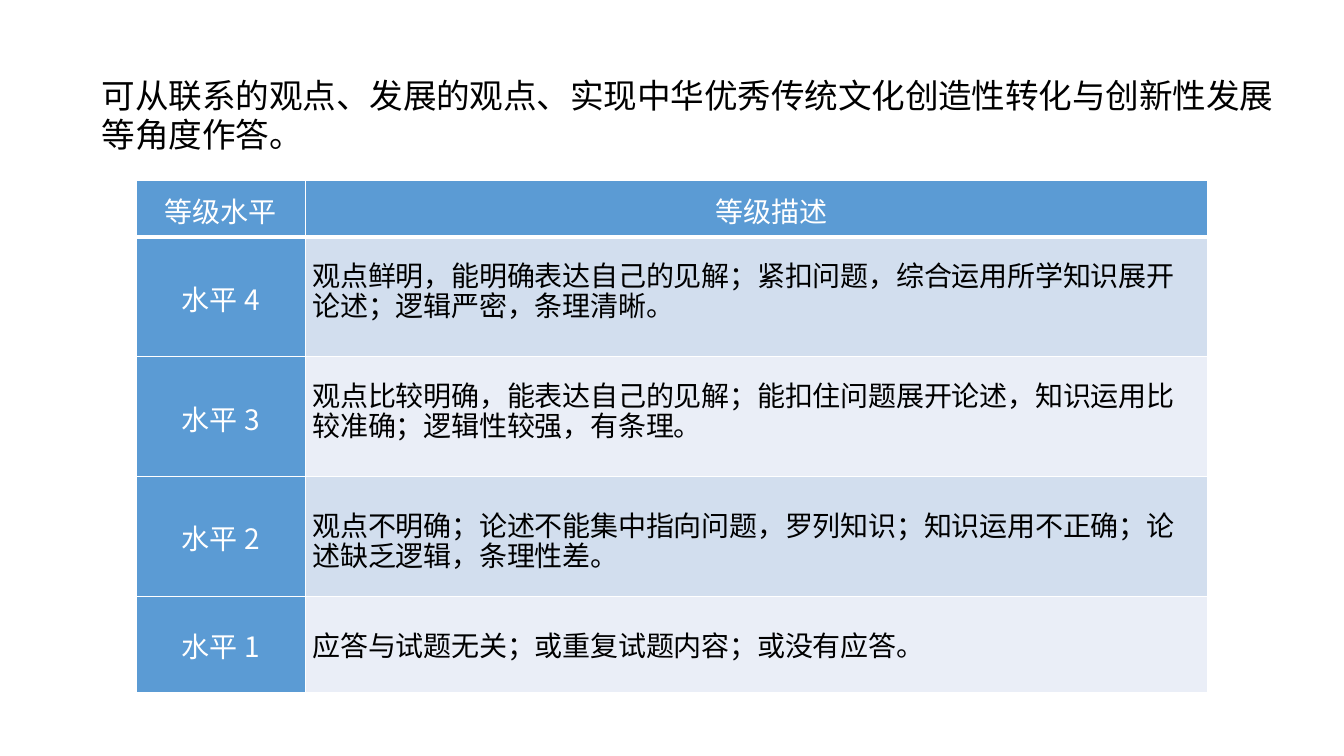
"""Build a slide with a prompt above a table of grading levels."""
from lxml.etree import SubElement
from pptx import Presentation
from pptx.dml.color import RGBColor
from pptx.enum.text import MSO_ANCHOR as Anchor, MSO_AUTO_SIZE as AutoSize, PP_ALIGN as Align
from pptx.oxml.ns import qn
from pptx.util import Inches, Pt

FONT = "Noto Sans CJK SC"
WHITE, BLACK, BLUE = "FFFFFF", "000000", "5B9BD4"
BANDS = ["D2DEEE", "EAEEF7"]


def write(frame, text, size, color, align, spacing, leading=None):
    para = frame.paragraphs[0]
    para.alignment = align
    para.line_spacing = leading
    span = para.add_run()
    span.text = text
    span.font.size = Pt(size)
    span.font.name = FONT
    span.font.color.rgb = RGBColor.from_string(color)
    properties = span.font._element
    properties.set("spc", str(spacing))
    SubElement(properties, qn("a:ea"), typeface=FONT)


def style_cell(cell, fill, margins, top_line, bottom_line):
    cell.vertical_anchor = Anchor.MIDDLE
    cell.margin_left, cell.margin_top, cell.margin_right, cell.margin_bottom = map(Inches, margins)
    properties = cell._tc.get_or_add_tcPr()
    for side, width in zip("LRTB", (1, 1, top_line, bottom_line)):
        line = SubElement(properties, qn(f"a:ln{side}"), w=str(Pt(width)))
        SubElement(SubElement(line, qn("a:solidFill")), qn("a:srgbClr"), val=WHITE)
    cell.fill.solid()
    cell.fill.fore_color.rgb = RGBColor.from_string(fill)


deck = Presentation()
deck.slide_width, deck.slide_height = Inches(13.33), Inches(7.5)
page = deck.slides.add_slide(deck.slide_layouts[5])

title = page.shapes.title
title.left, title.top, title.width, title.height = map(Inches, (0.99, 0.73, 11.69, 0.81))
frame = title.text_frame
frame.word_wrap = True
frame.auto_size = AutoSize.NONE
frame.vertical_anchor = Anchor.TOP
frame.margin_left = frame.margin_top = Inches(0.02)
frame.margin_right = frame.margin_bottom = 0
write(frame, "可从联系的观点、发展的观点、实现中华优秀传统文化创造性转化与创新性发展等角度作答。",
      24, BLACK, Align.LEFT, -10, Pt(28.2))

levels = [
    ("水平 4", "观点鲜明，能明确表达自己的见解；紧扣问题，综合运用所学知识展开论述；逻辑严密，条理清晰。", 1.19, 0, 0.04),
    ("水平 3", "观点比较明确，能表达自己的见解；能扣住问题展开论述，知识运用比较准确；逻辑性较强，有条理。", 1.19, 0, 0.04),
    ("水平 2", "观点不明确；论述不能集中指向问题，罗列知识；知识运用不正确；论述缺乏逻辑，条理性差。", 1.19, 0.16, 0),
    ("水平 1", "应答与试题无关；或重复试题内容；或没有应答。", 0.95, 0.1, 0),
]
table = page.shapes.add_table(len(levels) + 1, 2, Inches(1.35), Inches(1.79),
                              Inches(10.63), Inches(5.08)).table
for column, width in zip(table.columns, (1.68, 8.95)):
    column.width = Inches(width)

table.rows[0].height = Inches(0.56)
for cell, heading, indent in zip(table.rows[0].cells, ("等级水平", "等级描述"), (0, 0.29)):
    style_cell(cell, BLUE, (indent, 0.03, 0, 0), 1, 3)
    write(cell.text_frame, heading, 20, WHITE, Align.CENTER, -10)

for index, (level, description, height, above, below) in enumerate(levels):
    row = table.rows[index + 1]
    row.height = Inches(height)
    top_line = 1 if index else 3
    level_cell, description_cell = row.cells
    style_cell(level_cell, BLUE, (0, 0.02, 0, 0), top_line, 1)
    write(level_cell.text_frame, level, 20, WHITE, Align.CENTER, 0)
    style_cell(description_cell, BANDS[index % 2], (0.07, above, 0.2, below), top_line, 1)
    write(description_cell.text_frame, description, 20, BLACK, Align.LEFT, -20, Pt(21))

deck.save("out.pptx")
